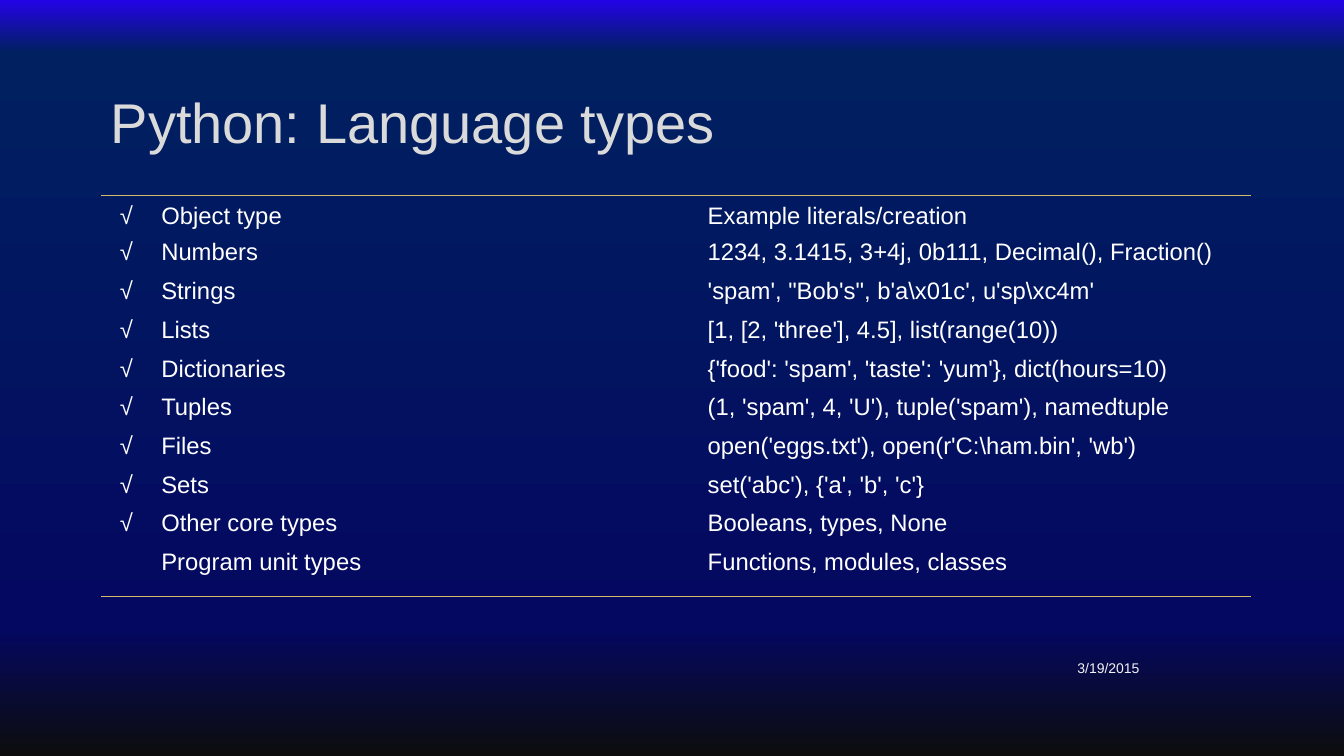
from lxml.etree import SubElement
from pptx import Presentation
from pptx.dml.color import RGBColor
from pptx.enum.text import MSO_ANCHOR, PP_ALIGN
from pptx.oxml.ns import qn
from pptx.util import Inches, Pt

TYPES = [
    ("√", "Object type", "Example literals/creation"),
    ("√", "Numbers", "1234, 3.1415, 3+4j, 0b111, Decimal(), Fraction()"),
    ("√", "Strings", "'spam', \"Bob's\", b'a\\x01c', u'sp\\xc4m'"),
    ("√", "Lists", "[1, [2, 'three'], 4.5], list(range(10))"),
    ("√", "Dictionaries", "{'food': 'spam', 'taste': 'yum'}, dict(hours=10)"),
    ("√", "Tuples", "(1, 'spam', 4, 'U'), tuple('spam'), namedtuple"),
    ("√", "Files", "open('eggs.txt'), open(r'C:\\ham.bin', 'wb')"),
    ("√", "Sets", "set('abc'), {'a', 'b', 'c'}"),
    ("√", "Other core types", "Booleans, types, None"),
    ("", "Program unit types", "Functions, modules, classes"),
]


def color(value):
    return RGBColor.from_string(value)


def add_solid(parent, value, alpha=100):
    fill = SubElement(parent, qn("a:solidFill"))
    tint = SubElement(fill, qn("a:srgbClr"), val=value)
    if alpha < 100:
        SubElement(tint, qn("a:alpha"), val=str(alpha * 1000))


def write(frame, text, size=17, fill="FFFFFF", align=PP_ALIGN.LEFT, font="Arial"):
    para = frame.paragraphs[0]
    para.alignment = align
    para.font.size = Pt(size)
    span = para.add_run()
    span.text = text
    span.font.name = font
    span.font.size = Pt(size)
    span.font.color.rgb = color(fill)
    return span


class SlideBuilder:
    rule_color = "D3BA68"

    def __init__(self, deck):
        self.page = deck.slides.add_slide(deck.slide_layouts[6])

    def background(self, stops):
        fill = self.page.background.fill
        fill.gradient()
        fill.gradient_angle = 270
        stop_list = self.page.background._cSld.find(".//" + qn("a:gsLst"))
        for stop in list(stop_list):
            stop_list.remove(stop)
        for position, value in stops:
            stop = SubElement(stop_list, qn("a:gs"), pos=str(position * 1000))
            SubElement(stop, qn("a:srgbClr"), val=value)

    def text(self, left, top, width, height, text, **style):
        box = self.page.shapes.add_textbox(
            Inches(left), Inches(top), Inches(width), Inches(height))
        box.text_frame.word_wrap = True
        box.text_frame.vertical_anchor = MSO_ANCHOR.MIDDLE
        return write(box.text_frame, text, **style)

    def title(self, left, top, width, height, text, **style):
        span = self.text(left, top, width, height, text, **style)
        properties = span.font._element
        outline = SubElement(properties, qn("a:ln"), w=str(Pt(0.75)))
        add_solid(outline, "404040", alpha=10)
        effects = SubElement(properties, qn("a:effectLst"))
        shadow = SubElement(effects, qn("a:outerShdw"), blurRad=str(Pt(3)),
                            dist=str(Pt(2)), dir="2700000", algn="tl")
        tint = SubElement(shadow, qn("a:srgbClr"), val="000000")
        SubElement(tint, qn("a:alpha"), val="50000")
        properties.remove(outline)
        properties.insert(0, outline)
        latin = properties.find(qn("a:latin"))
        properties.remove(latin)
        properties.append(latin)

    def borders(self, cell, ruled):
        properties = cell._tc.get_or_add_tcPr()
        for side in ("lnL", "lnR", "lnT", "lnB"):
            line = SubElement(properties, qn("a:" + side), w=str(Pt(1)))
            if side in ruled:
                add_solid(line, self.rule_color)
            else:
                SubElement(line, qn("a:noFill"))
        cell.fill.background()

    def table(self, left, top, widths, heights, rows):
        table = self.page.shapes.add_table(
            len(rows), len(widths), Inches(left), Inches(top),
            Inches(sum(widths)), Inches(sum(heights))).table
        table.first_row = False
        table.horz_banding = False
        for column, width in zip(table.columns, widths):
            column.width = Inches(width)
        for index, (row, height) in enumerate(zip(table.rows, heights)):
            row.height = Inches(height)
            ruled = {0: ["lnT"], len(rows) - 1: ["lnB"]}.get(index, [])
            for number, cell in enumerate(row.cells):
                cell.margin_left = cell.margin_right = Inches(0.09)
                cell.margin_top = cell.margin_bottom = Inches(0.05)
                cell.vertical_anchor = MSO_ANCHOR.TOP if index else MSO_ANCHOR.BOTTOM
                align = PP_ALIGN.LEFT if number else PP_ALIGN.CENTER
                if rows[index][number]:
                    write(cell.text_frame, rows[index][number], align=align)
                self.borders(cell, ruled)


def main():
    deck = Presentation()
    deck.slide_width = Inches(13.33)
    deck.slide_height = Inches(7.5)
    slide = SlideBuilder(deck)
    slide.background([(0, "2403E7"), (7, "002060"), (83, "040860"), (100, "0D0D0D")])
    slide.title(1, 0.67, 11.32, 1.06, "Python: Language types", size=40, fill="DADADA")
    slide.table(1, 1.94, [0.51, 5.42, 5.48], [0.36] * 9 + [0.52], TYPES)
    slide.text(8.4, 6.43, 3, 0.4, "3/19/2015", size=10, fill="F2F2F2",
               align=PP_ALIGN.RIGHT)
    deck.save("out.pptx")


if __name__ == "__main__":
    main()
